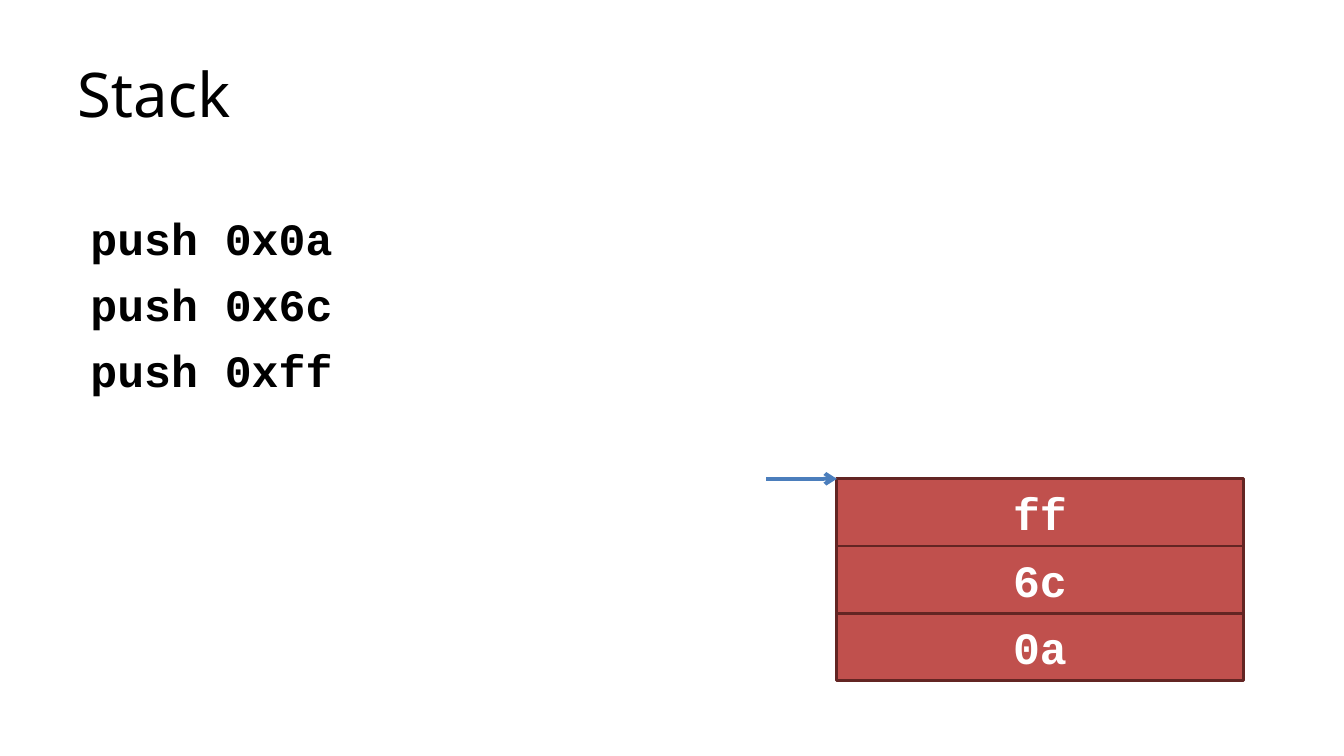
import pptx
import pptx.util
import pptx.dml.color
import pptx.enum.shapes
import pptx.enum.text
import lxml.etree

RGBColor = pptx.dml.color.RGBColor
Inches = pptx.util.Inches
Pt = pptx.util.Pt
ALIGN = pptx.enum.text.PP_ALIGN
ANCHOR = pptx.enum.text.MSO_ANCHOR

BLACK = RGBColor(0x00, 0x00, 0x00)
WHITE = RGBColor(0xFF, 0xFF, 0xFF)
RED = RGBColor(0xC0, 0x50, 0x4D)
DARK_RED = RGBColor(0x63, 0x25, 0x23)
BLUE = RGBColor(0x4B, 0x7E, 0xBC)

HEADING = "Stack"
PUSHED = ["0a", "6c", "ff"]

WIDTH, HEIGHT = Inches(13.33), Inches(7.5)
MARGIN = round(WIDTH * 0.05)
CELL_WIDTH, CELL_HEIGHT = Inches(4.03), HEIGHT * 4 // 45
STACK_LEFT, STACK_BOTTOM = Inches(8.3), round(HEIGHT * 0.9)
POINTER_LENGTH = Inches(0.7)


def write(holder, lines, size=32, font="Courier New", color=BLACK, bold=True,
          align=ALIGN.LEFT, anchor=ANCHOR.MIDDLE, gap=0, left=0.1, top=0.05):
    frame = holder.text_frame
    frame.word_wrap = True
    frame.vertical_anchor = anchor
    frame.margin_left, frame.margin_top = Inches(left), Inches(top)
    for index, line in enumerate(lines):
        paragraph = frame.add_paragraph() if index else frame.paragraphs[0]
        paragraph.alignment = align
        paragraph.space_before = Pt(gap if index else 0)
        run = paragraph.add_run()
        run.text = line
        run.font.name, run.font.size, run.font.bold = font, Pt(size), bold
        run.font.color.rgb = color


def main():
    deck = pptx.Presentation()
    deck.slide_width, deck.slide_height = WIDTH, HEIGHT
    shapes = deck.slides.add_slide(deck.slide_layouts[6]).shapes

    heading = shapes.add_textbox(MARGIN, round(HEIGHT * 0.04), WIDTH - 2 * MARGIN, HEIGHT // 6)
    write(heading, [HEADING], size=44, font="Noto Sans", bold=False)

    code = shapes.add_textbox(MARGIN, Inches(1.94), Inches(6.11), Inches(5.06))
    write(code, [f"push 0x{value}" for value in PUSHED],
          anchor=ANCHOR.TOP, gap=8.6, left=0.23, top=0.15)

    for level, value in enumerate(PUSHED, 1):
        cell = shapes.add_shape(pptx.enum.shapes.MSO_SHAPE.RECTANGLE, STACK_LEFT,
                                STACK_BOTTOM - level * CELL_HEIGHT, CELL_WIDTH, CELL_HEIGHT)
        cell.shadow.inherit = False
        cell.fill.solid()
        cell.fill.fore_color.rgb = RED
        cell.line.color.rgb, cell.line.width = DARK_RED, Pt(2)
        write(cell, [value], color=WHITE, align=ALIGN.CENTER)

    stack_top = STACK_BOTTOM - len(PUSHED) * CELL_HEIGHT
    pointer = shapes.add_connector(pptx.enum.shapes.MSO_CONNECTOR.STRAIGHT,
                                   STACK_LEFT - POINTER_LENGTH, stack_top, STACK_LEFT, stack_top)
    pointer.line.color.rgb, pointer.line.width = BLUE, Pt(2.75)
    outline = pointer.line._get_or_add_ln()
    lxml.etree.SubElement(outline, pptx.oxml.ns.qn("a:tailEnd"), type="arrow")
    lxml.etree.SubElement(outline.getparent(), pptx.oxml.ns.qn("a:effectLst"))

    deck.save("out.pptx")


if __name__ == "__main__":
    main()
